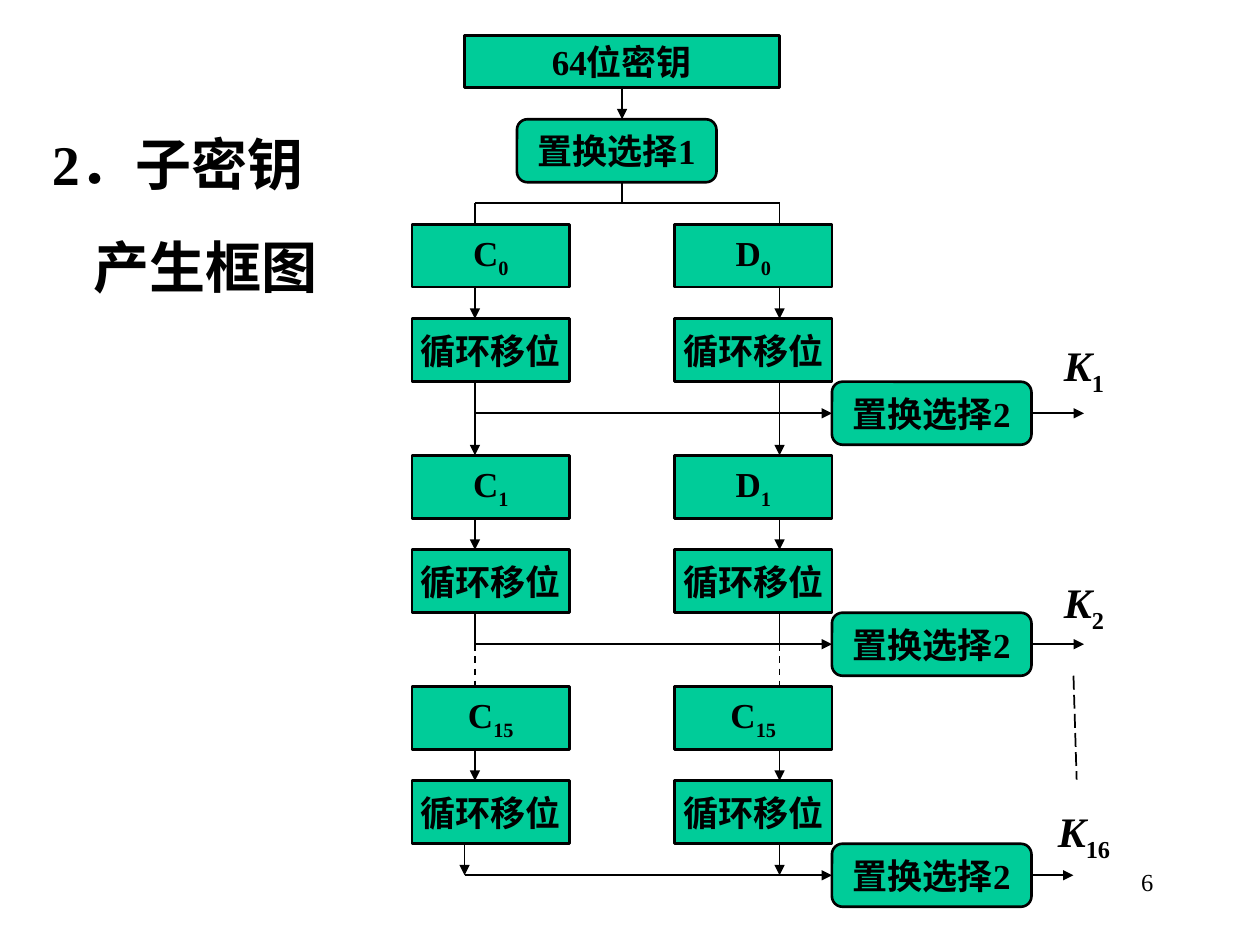
import pptx
import pptx.util
import pptx.dml.color
import pptx.enum.dml
import pptx.enum.shapes
import pptx.enum.text
import pptx.oxml.ns
import lxml.etree
from dataclasses import dataclass

SHAPES = pptx.enum.shapes.MSO_SHAPE
DASHES = pptx.enum.dml.MSO_LINE
ALIGN = pptx.enum.text.PP_ALIGN
ANCHOR = pptx.enum.text.MSO_ANCHOR


@dataclass(frozen=True)
class Theme:
    font: str = "Times New Roman"
    ink: str = "000000"
    box_fill: str = "00CC99"
    title_size: int = 32
    key_size: int = 24
    box_size: int = 20
    number_size: int = 14
    box_line: float = 1.5
    wire_line: float = 1


class Diagram:
    """Draws on a grid of twelfths of an inch."""
    origin_x, origin_y, cells_per_inch = 0.02, 0.03, 12

    def __init__(self, slide, theme):
        self.slide = slide
        self.theme = theme

    def x(self, column):
        return pptx.util.Inches(self.origin_x + column / self.cells_per_inch)

    def y(self, row):
        return pptx.util.Inches(self.origin_y + row / self.cells_per_inch)

    def area(self, column, row, columns, rows):
        left, top = self.x(column), self.y(row)
        return left, top, self.x(column + columns) - left, self.y(row + rows) - top

    def color(self, value):
        return pptx.dml.color.RGBColor.from_string(value)

    def style(self, run, size, bold=True, italic=False):
        run.font.name = self.theme.font
        run.font.size = pptx.util.Pt(size)
        run.font.bold = bold
        run.font.italic = italic
        run.font.color.rgb = self.color(self.theme.ink)

    def label(self, shape, text, subscript, size, italic=False):
        paragraph = shape.text_frame.paragraphs[0]
        paragraph.text = text
        paragraph.alignment = ALIGN.CENTER
        self.style(paragraph.runs[0], size, italic=italic)
        if subscript:
            run = paragraph.add_run()
            run.text = subscript
            self.style(run, size)
            run.font._element.set("baseline", "-25000")

    def title(self, lines, area, indent):
        title = self.slide.shapes.title
        title.left, title.top, title.width, title.height = self.area(*area)
        frame = title.text_frame
        frame.text = "\n".join(lines)
        frame.auto_size = pptx.enum.text.MSO_AUTO_SIZE.NONE
        frame.vertical_anchor = ANCHOR.TOP
        for paragraph in frame.paragraphs:
            paragraph.alignment = ALIGN.LEFT
            self.style(paragraph.runs[0], self.theme.title_size)
        last = frame.paragraphs[-1]
        last.space_before = pptx.util.Pt(20)
        last._p.get_or_add_pPr().set("marL", str(pptx.util.Inches(indent)))

    def box(self, text, column, row, columns=15, rows=6, subscript="", kind=SHAPES.RECTANGLE):
        shape = self.slide.shapes.add_shape(kind, *self.area(column, row, columns, rows))
        shape.shadow.inherit = False
        shape.fill.solid()
        shape.fill.fore_color.rgb = self.color(self.theme.box_fill)
        shape.line.color.rgb = self.color(self.theme.ink)
        shape.line.width = pptx.util.Pt(self.theme.box_line)
        shape.text_frame.word_wrap = False
        shape.text_frame.vertical_anchor = ANCHOR.MIDDLE
        self.label(shape, text, subscript, self.theme.box_size)

    def selection(self, number, column, row):
        self.box(f"置换选择{number}", column, row, columns=19,
                 kind=SHAPES.FLOWCHART_ALTERNATE_PROCESS)

    def key(self, subscript, column, row):
        shape = self.slide.shapes.add_textbox(*self.area(column, row, 12, 6.7))
        shape.text_frame.word_wrap = True
        self.label(shape, "K", subscript, self.theme.key_size, italic=True)

    def page_number(self, text, area):
        shape = self.slide.shapes.add_textbox(*self.area(*area))
        shape.text_frame.word_wrap = True
        paragraph = shape.text_frame.paragraphs[0]
        paragraph.text = text
        paragraph.alignment = ALIGN.RIGHT
        self.style(paragraph.runs[0], self.theme.number_size, bold=False)

    def wire(self, start, end, arrow=False, dash=None):
        wire = self.slide.shapes.add_connector(
            pptx.enum.shapes.MSO_CONNECTOR.STRAIGHT,
            self.x(start[0]), self.y(start[1]), self.x(end[0]), self.y(end[1]))
        wire.line.color.rgb = self.color(self.theme.ink)
        wire.line.width = pptx.util.Pt(self.theme.wire_line)
        if dash:
            wire.line.dash_style = dash
        name = pptx.oxml.ns.qn
        if arrow:
            lxml.etree.SubElement(wire.line._get_or_add_ln(), name("a:tailEnd"), type="triangle")
        lxml.etree.SubElement(wire._element.spPr, name("a:effectLst"))


def main():
    presentation = pptx.Presentation()
    presentation.slide_width = pptx.util.Inches(10)
    presentation.slide_height = pptx.util.Inches(7.5)
    slide = presentation.slides.add_slide(presentation.slide_layouts[5])
    diagram = Diagram(slide, Theme())

    diagram.title(["2．子密钥", "产生框图"], (3.5, 11.4, 33.1, 17.4), indent=0.33)

    # Key input and first permutation
    middle, left_wire, right_wire = 59, 45, 74
    diagram.box("64位密钥", 44, 3, columns=30, rows=5)
    diagram.selection(1, 49, 11)
    diagram.wire((middle, 8), (middle, 11), arrow=True)
    diagram.wire((middle, 17), (middle, 19))
    diagram.wire((left_wire, 19), (right_wire, 19))
    for column in (left_wire, right_wire):
        diagram.wire((column, 19), (column, 21))

    # Rounds: left name, right name, index, key, key row, left tap, output end
    first_row, round_rows = 21, 22
    rounds = [("C", "D", "0", "1", 31.4, left_wire, 103),
              ("C", "D", "1", "2", 54, left_wire, 103),
              ("C", "C", "15", "16", 75.8, 44, 102)]
    for number, (left, right, index, key, key_row, tap, output) in enumerate(rounds):
        top = first_row + number * round_rows
        shift, shift_end, tap_row, following = top + 9, top + 15, top + 18, top + round_rows
        for name, column, wire, exit_wire in ((left, 39, left_wire, tap),
                                              (right, 64, right_wire, right_wire)):
            diagram.box(name, column, top, subscript=index)
            diagram.box("循环移位", column, shift)
            diagram.wire((wire, top + 6), (wire, shift), arrow=True)
            # Exit: on to the next round, skipped rounds, or the last tap
            if number == 0:
                diagram.wire((wire, shift_end), (wire, following), arrow=True)
            elif number == 1:
                diagram.wire((wire, shift_end), (wire, tap_row))
                diagram.wire((wire, tap_row), (wire, following), dash=DASHES.DASH)
            else:
                diagram.wire((exit_wire, shift_end), (exit_wire, tap_row), arrow=True)
        diagram.selection(2, 79, shift_end)
        diagram.wire((tap, tap_row), (79, tap_row), arrow=True)
        diagram.wire((98, tap_row), (output, tap_row), arrow=True)
        diagram.key(key, 97, key_row)

    # Omitted keys and page number
    diagram.wire((102, 64), (102.3, 73.9), dash=DASHES.LONG_DASH)
    diagram.page_number("6", (85.8, 81.6, 25, 6))

    presentation.save("out.pptx")


if __name__ == "__main__":
    main()
